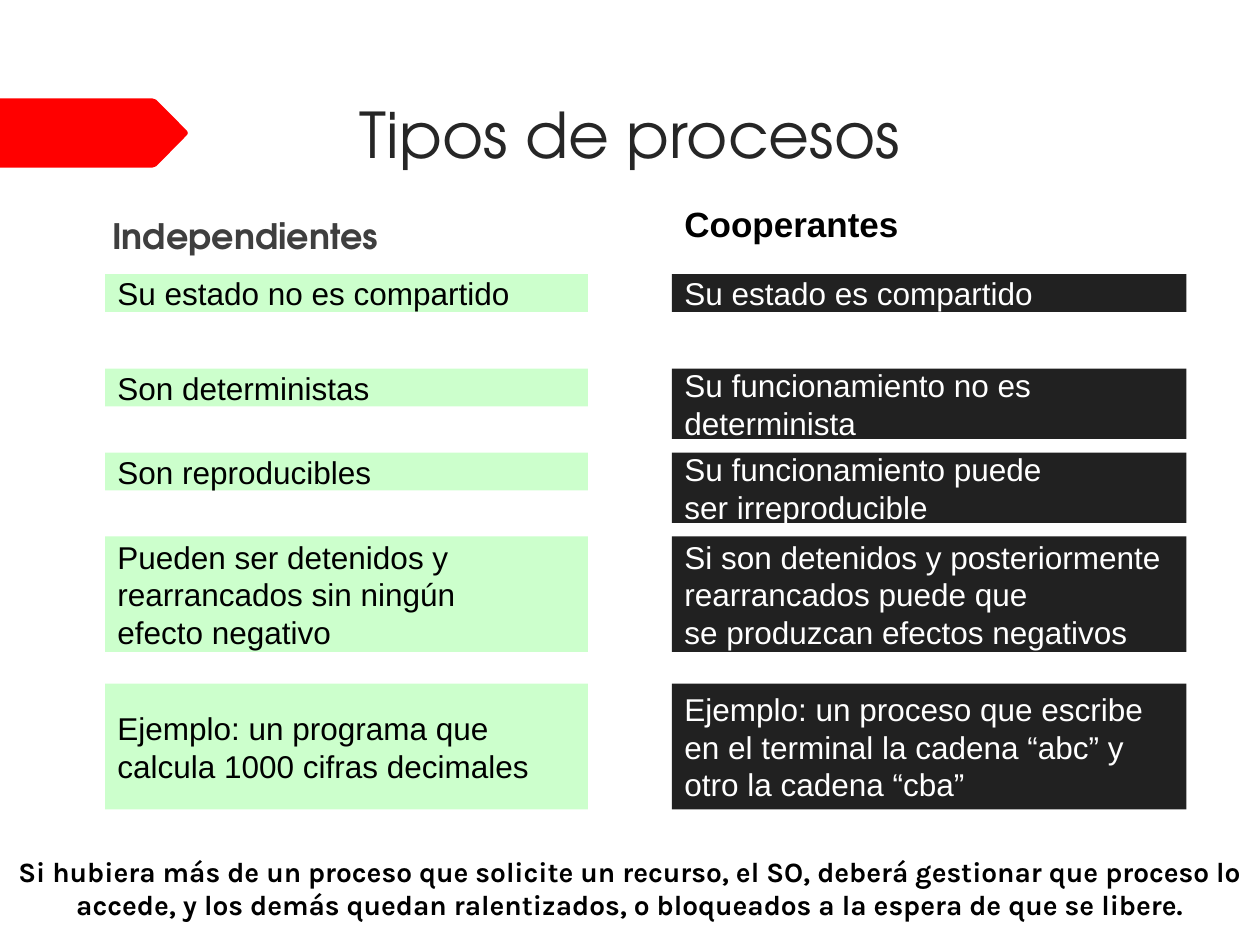
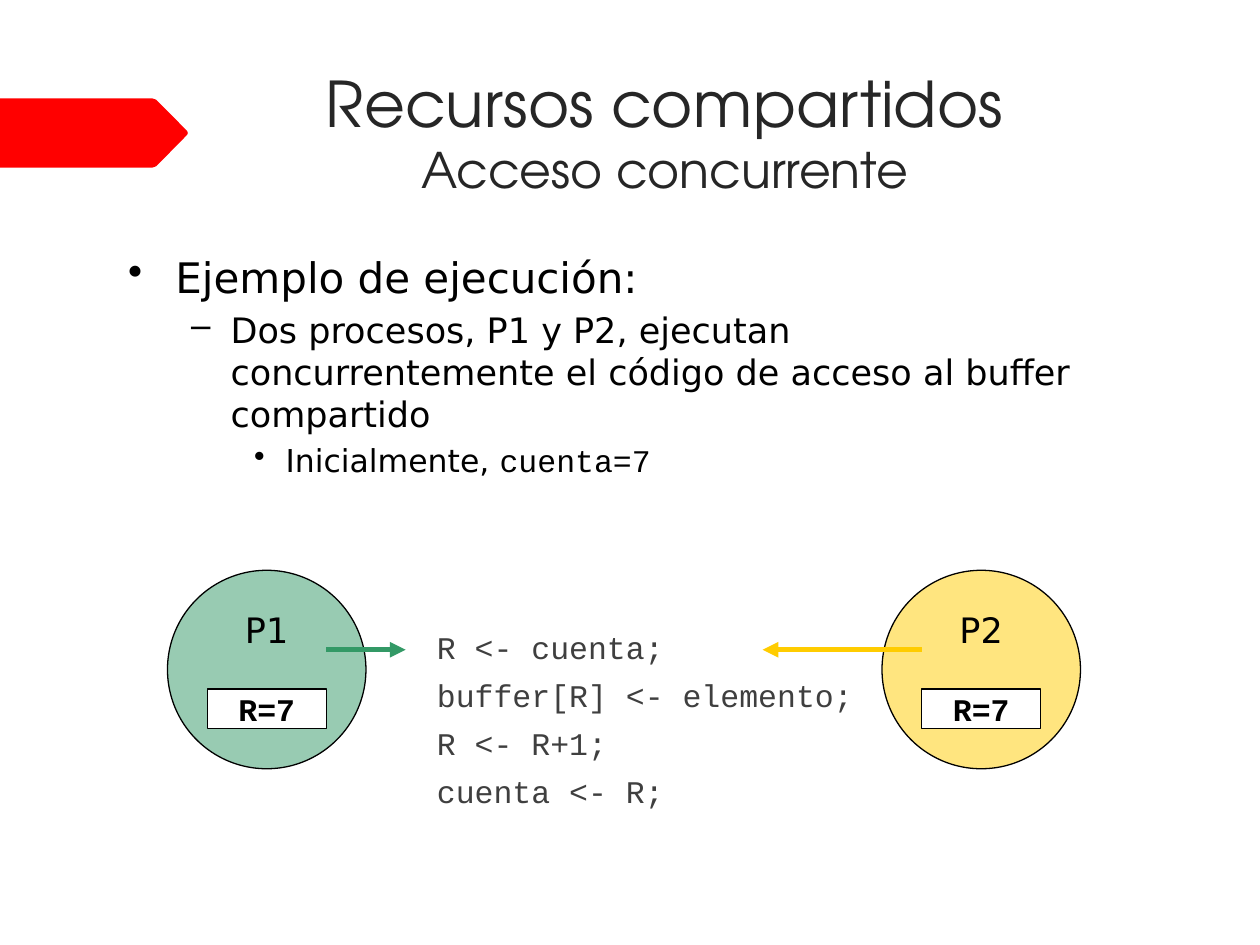
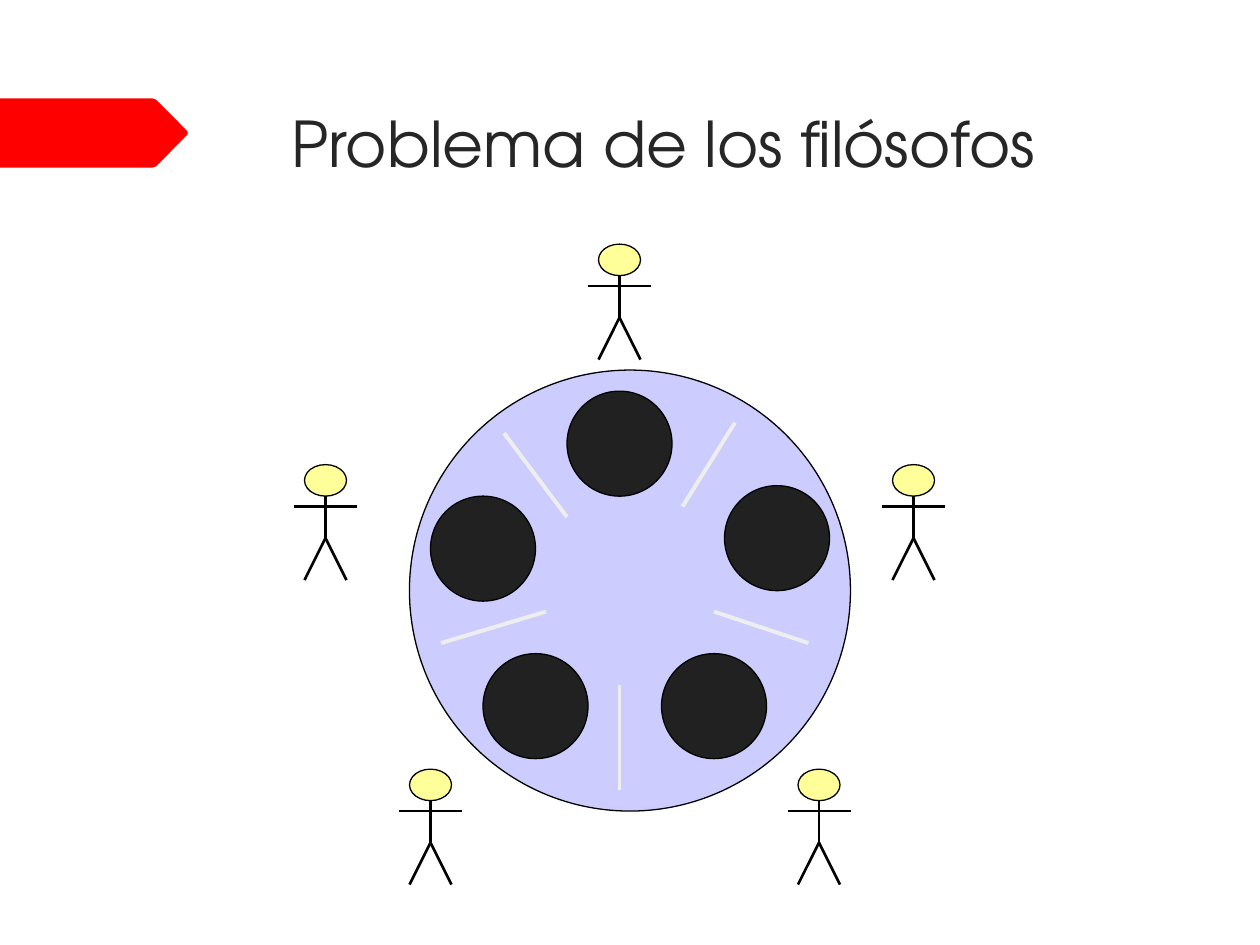
from lxml.etree import SubElement
from pptx import Presentation
from pptx.dml.color import RGBColor
from pptx.enum.shapes import MSO_CONNECTOR, MSO_SHAPE
from pptx.enum.text import MSO_ANCHOR, MSO_AUTO_SIZE, PP_ALIGN
from pptx.oxml.ns import qn
from pptx.util import Pt

BLACK = RGBColor(0x00, 0x00, 0x00)
WHITE = RGBColor(0xFF, 0xFF, 0xFF)
RED = RGBColor(0xFF, 0x00, 0x00)
TITLE_GRAY = RGBColor(0x26, 0x26, 0x26)
BODY_GRAY = RGBColor(0x3F, 0x3F, 0x3F)
CHARCOAL = RGBColor(0x21, 0x21, 0x21)
PALE_GREEN = RGBColor(0xCC, 0xFF, 0xCC)
GREEN = RGBColor(0x33, 0x99, 0x66)
YELLOW = RGBColor(0xFF, 0xCC, 0x00)
LAVENDER = RGBColor(0xCC, 0xCC, 0xFF)
SKIN = RGBColor(0xFF, 0xFF, 0x99)
CHOPSTICK_GRAY = RGBColor(0xEE, 0xEE, 0xEE)

DISPLAY = "TeX Gyre Adventor"
SANS = "Arial"
TEXT = "DejaVu Sans"
CODE = "Courier New"
NOTE = "Karla"

TITLE_ONLY = 5
BAND_OUTLINE = [(0, 56.2), (87, 56.2), (89.3, 57), (107, 74.9), (107.3, 76),
                (107, 77), (89.3, 95), (87, 95.8), (0, 95.8)]

# Top of the row, then height and text of the left and the right bar
COMPARISON = [
    (156.6, 21.6, "Su estado no es compartido",
     21.6, "Su estado es compartido"),
    (210.6, 21.6, "Son deterministas",
     40.2, "Su funcionamiento no es\ndeterminista"),
    (258.6, 21.6, "Son reproducibles",
     40.2, "Su funcionamiento puede\nser irreproducible"),
    (306.6, 66, "Pueden ser detenidos y\nrearrancados sin ningún\nefecto negativo",
     66, "Si son detenidos y posteriormente\nrearrancados puede que\n"
         "se produzcan efectos negativos"),
    (390.6, 72, "Ejemplo: un programa que\ncalcula 1000 cifras decimales",
     72, "Ejemplo: un proceso que escribe\nen el terminal la cadena “abc” y\n"
         "otro la cadena “cba”"),
]

PLATES = [(324, 223.5), (246, 283.5), (414, 277.5), (378, 373.5), (276, 373.5)]
CHOPSTICKS = [
    ((252, 367.5), (312, 349.5)),
    ((288, 247.5), (324, 295.5)),
    ((390, 289.5), (420, 241.5)),
    ((408, 349.5), (462, 367.5)),
    ((354, 451.5), (354, 391.5)),
]
PHILOSOPHERS = [(354, 139.5), (186, 265.5), (246, 439.5), (522, 265.5), (468, 439.5)]


def style_font(para, name, size, color, bold=False):
    font = para.font
    font.name, font.size, font.bold = name, Pt(size), bold
    font.color.rgb = color


def write(box, text, name, size, color, bold=False, align=PP_ALIGN.LEFT):
    """Fill a box with one paragraph per line of text."""
    frame = box.text_frame
    frame.word_wrap = True
    for index, line in enumerate(text.split("\n")):
        para = frame.add_paragraph() if index else frame.paragraphs[0]
        para.add_run().text = line
        para.alignment = align
        style_font(para, name, size, color, bold)
    return frame


def set_indent(para, margin, hanging):
    properties = para._p.get_or_add_pPr()
    properties.set("marL", str(Pt(margin)))
    properties.set("indent", str(Pt(-hanging)))
    return properties


def set_insets(frame, inset):
    frame.margin_left = frame.margin_right = Pt(inset)
    frame.margin_top = frame.margin_bottom = Pt(inset)


def add_text(page, left, top, width, height):
    return page.shapes.add_textbox(Pt(left), Pt(top), Pt(width), Pt(height))


def add_preset(shapes, kind, left, top, width, height, fill, outlined=True):
    shape = shapes.add_shape(kind, Pt(left), Pt(top), Pt(width), Pt(height))
    shape.shadow.inherit = False
    shape.fill.solid()
    shape.fill.fore_color.rgb = fill
    if outlined:
        shape.line.color.rgb = BLACK
        shape.line.width = Pt(0.75)
    else:
        shape.line.fill.background()
    return shape


def add_line(shapes, start, end, color, width):
    line = shapes.add_connector(MSO_CONNECTOR.STRAIGHT, *map(Pt, start + end))
    line.line.color.rgb = color
    line.line.width = Pt(width)
    SubElement(line._element.spPr, qn("a:effectLst"))
    return line


def add_arrow(page, start, end, color):
    arrow = add_line(page.shapes, start, end, color, 3)
    SubElement(arrow.line._get_or_add_ln(), qn("a:tailEnd"), type="triangle")


def add_band(page):
    first, *rest = [(Pt(x), Pt(y)) for x, y in BAND_OUTLINE]
    builder = page.shapes.build_freeform(*first)
    builder.add_line_segments(rest, close=True)
    band = builder.convert_to_shape()
    band.shadow.inherit = False
    band.fill.solid()
    band.fill.fore_color.rgb = RED
    band.line.fill.background()


def add_page(deck, title_text, left, top, width, height, subtitle=None):
    page = deck.slides.add_slide(deck.slide_layouts[TITLE_ONLY])
    add_band(page)
    title = page.shapes.title
    title.left, title.top, title.width, title.height = map(Pt, (left, top, width, height))
    frame = write(title, title_text, DISPLAY, 36, TITLE_GRAY, align=PP_ALIGN.CENTER)
    frame.auto_size = MSO_AUTO_SIZE.NONE
    frame.vertical_anchor = MSO_ANCHOR.TOP
    set_insets(frame, 7.2)
    if subtitle:
        para = frame.paragraphs[0]
        para.add_line_break()
        span = para.add_run()
        span.text = subtitle
        span.font.size = Pt(28)
    return page


def add_bar(page, left, top, width, height, text, fill, color):
    bar = add_preset(page.shapes, MSO_SHAPE.RECTANGLE, left, top, width, height,
                     fill, outlined=False)
    write(bar, text, SANS, 18, color).vertical_anchor = MSO_ANCHOR.MIDDLE


def add_bullets(page):
    box = add_text(page, 66.2, 129, 581, 159)
    frame = write(
        box,
        "Ejemplo de ejecución:\n"
        "Dos procesos, P1 y P2, ejecutan concurrentemente el código de acceso "
        "al buffer compartido\n"
        "Inicialmente, ", TEXT, 24, BLACK)
    frame.vertical_anchor = MSO_ANCHOR.MIDDLE
    levels = [("•", 27, 27, 24), ("–", 58.5, 22.5, 20), ("•", 90, 18, 18)]
    for level, (para, (mark, margin, hanging, size)) in enumerate(
            zip(frame.paragraphs, levels)):
        properties = set_indent(para, margin, hanging)
        bullet = SubElement(properties, qn("a:buChar"), char=mark)
        properties.find(qn("a:defRPr")).addprevious(bullet)
        para.level = level
        para.font.size = Pt(size)
        if level:
            para.space_before = Pt(size * 0.2)
    span = para.add_run()
    span.text = "cuenta=7"
    span.font.name = CODE


def add_code(page):
    box = add_text(page, 163.4, 348.5, 385, 114)
    frame = write(box, "R <- cuenta;\nbuffer[R] <- elemento;\nR <- R+1;\ncuenta <- R;",
                  CODE, 18, BODY_GRAY)
    set_insets(frame, 7.2)
    for index, para in enumerate(frame.paragraphs):
        set_indent(para, 90, 10.8)
        para.line_spacing = 0.8 if index else 1.15
        if index:
            para.space_before = Pt(10)


def add_process(page, name, left, color):
    """Draw a half-transparent process circle with its register."""
    circle = add_preset(page.shapes, MSO_SHAPE.OVAL, left, 325.9, 113.4, 113.4, color)
    color_element = circle._element.spPr.find(qn("a:solidFill"))[0]
    SubElement(color_element, qn("a:alpha"), val="50000")
    frame = write(circle, name, TEXT, 20, BLACK, align=PP_ALIGN.CENTER)
    frame.vertical_anchor = MSO_ANCHOR.TOP
    frame.margin_top = Pt(5)
    register = add_preset(page.shapes, MSO_SHAPE.RECTANGLE, left + 22.7, 393.8,
                          68, 22.7, WHITE)
    frame = write(register, "R=7", CODE, 18, BLACK, True, PP_ALIGN.CENTER)
    frame.vertical_anchor = MSO_ANCHOR.MIDDLE


def add_philosopher(page, center, top):
    figure = page.shapes.add_group_shape().shapes
    neck, arms, hip, feet = top + 18, top + 24, top + 42, top + 66
    add_preset(figure, MSO_SHAPE.OVAL, center - 12, top, 24, 18, SKIN)
    for start, end in [
        ((center, neck), (center, hip)),
        ((center, hip), (center - 12, feet)),
        ((center, hip), (center + 12, feet)),
        ((center - 18, arms), (center + 18, arms)),
    ]:
        add_line(figure, start, end, BLACK, 1.5)


def build_process_types(deck):
    page = add_page(deck, "Tipos de procesos", 162, 47.5, 396, 52)
    heading = add_text(page, 48, 111.6, 288, 42)
    frame = write(heading, "Independientes", DISPLAY, 20, BODY_GRAY, True)
    set_insets(frame, 7.2)
    set_indent(frame.paragraphs[0], 27, 18)
    frame.paragraphs[0].line_spacing = 1.15
    write(add_text(page, 384, 112.3, 294, 42), "Cooperantes", SANS, 20, BLACK, True)
    for top, left_height, left_text, right_height, right_text in COMPARISON:
        add_bar(page, 60, top, 276, left_height, left_text, PALE_GREEN, BLACK)
        add_bar(page, 384, top, 294, right_height, right_text, CHARCOAL, WHITE)
    note = add_text(page, 0, 474.5, 720, 65.5)
    frame = write(
        note,
        "Si hubiera más de un proceso que solicite un recurso, el SO, deberá gestionar "
        "que proceso lo accede, y los demás quedan ralentizados, o bloqueados a la "
        "espera de que se libere.", NOTE, 16, BLACK, True, PP_ALIGN.CENTER)
    frame.vertical_anchor = MSO_ANCHOR.MIDDLE


def build_shared_resources(deck):
    page = add_page(deck, "Recursos compartidos", 142.5, 29.5, 474.5, 88.5,
                    subtitle="Acceso concurrente")
    add_code(page)
    add_bullets(page)
    add_process(page, "P1", 95.7, GREEN)
    add_arrow(page, (186.4, 371.3), (231.8, 371.3), GREEN)
    add_process(page, "P2", 504, YELLOW)
    add_arrow(page, (526.6, 371.3), (435.8, 371.3), YELLOW)


def build_philosophers(deck):
    page = add_page(deck, "Problema de los filósofos", 119.5, 52.5, 519, 59)
    add_preset(page.shapes, MSO_SHAPE.OVAL, 234, 211.5, 252, 252, LAVENDER)
    for left, top in PLATES:
        add_preset(page.shapes, MSO_SHAPE.OVAL, left, top, 60, 60, CHARCOAL)
    for start, end in CHOPSTICKS:
        add_line(page.shapes, start, end, CHOPSTICK_GRAY, 2.25)
    for center, top in PHILOSOPHERS:
        add_philosopher(page, center, top)


def main():
    deck = Presentation()
    deck.slide_width, deck.slide_height = Pt(720), Pt(540)
    build_process_types(deck)
    build_shared_resources(deck)
    build_philosophers(deck)
    deck.save("out.pptx")


if __name__ == "__main__":
    main()
